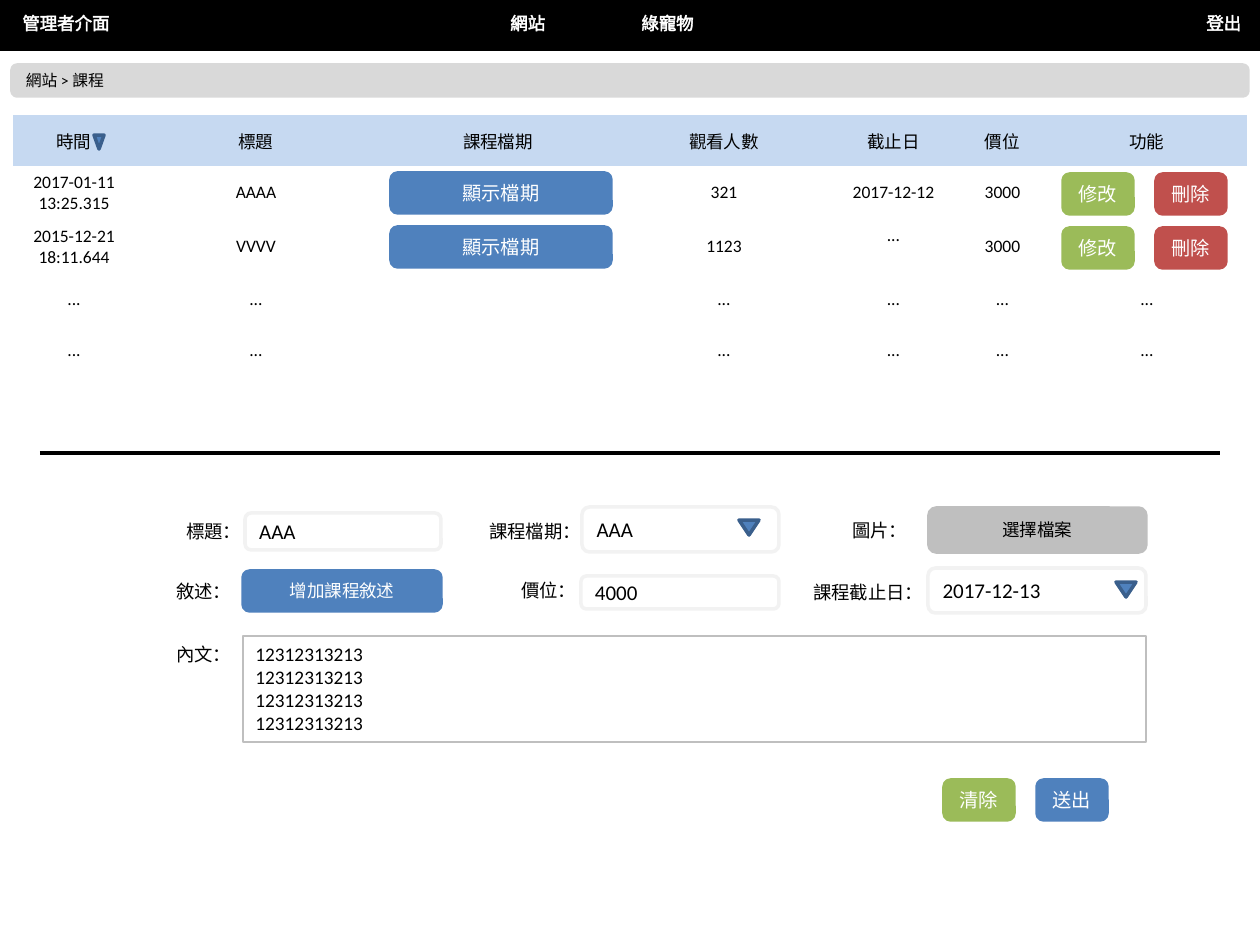
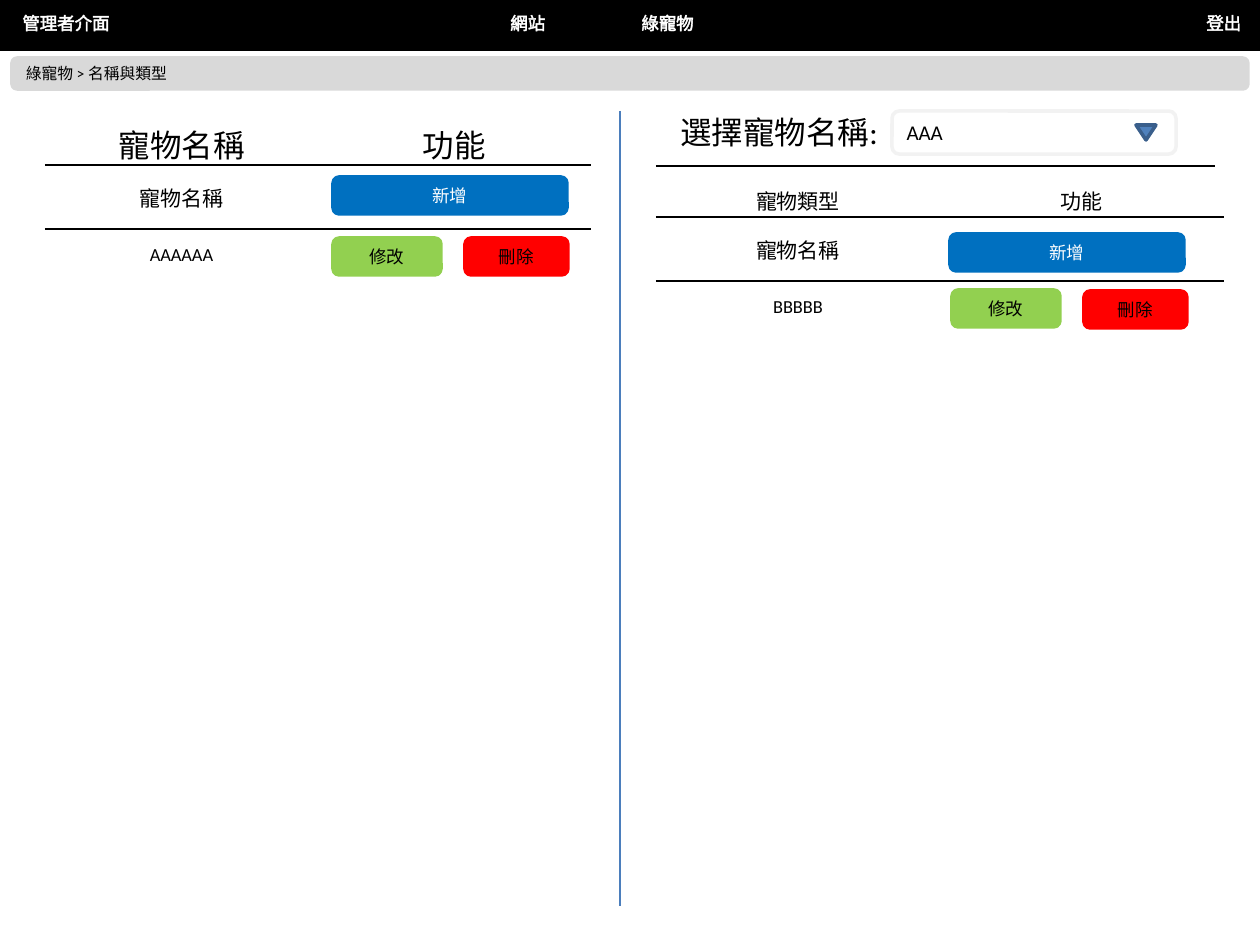
from lxml.etree import SubElement
from pptx import Presentation
from pptx.dml.color import RGBColor
from pptx.enum.shapes import MSO_CONNECTOR, MSO_SHAPE
from pptx.enum.text import MSO_ANCHOR, PP_ALIGN
from pptx.oxml import parse_xml
from pptx.oxml.ns import nsdecls, qn
from pptx.util import Pt

EMU_PER_PX = 914400 / 126
FONT = "Calibri"
PLAIN_TABLE_STYLE = "{2D5ABB26-0587-4C30-8999-92F81FD0307C}"
COLORS = {
    "black": "000000",
    "white": "FFFFFF",
    "breadcrumb": "D9D9D9",
    "table_header": "C6D9F1",
    "field_border": "F2F2F2",
    "gray": "BFBFBF",
    "blue": "4F81BD",
    "arrow_border": "3A5F8C",
    "divider": "4B7EBC",
    "green": "9BBB59",
    "red": "C0504D",
    "add": "0070C0",
    "modify": "92D050",
    "delete": "FF0000",
}


def px(length):
    return round(length * EMU_PER_PX)


def box(*lengths):
    return [px(length) for length in lengths]


def rgb(name):
    return RGBColor.from_string(COLORS[name])


def write(frame, text, size, color="black", align=PP_ALIGN.LEFT):
    for index, line in enumerate(text.split("\n")):
        paragraph = frame.add_paragraph() if index else frame.paragraphs[0]
        paragraph.add_run().text = line
        paragraph.alignment = align
        paragraph.font.name = FONT
        paragraph.font.size = Pt(size)
        paragraph.font.color.rgb = rgb(color)


def add_box(slide, kind, bounds, fill, border=None, border_width=2):
    shape = slide.shapes.add_shape(kind, *box(*bounds))
    shape.shadow.inherit = False
    shape.fill.solid()
    shape.fill.fore_color.rgb = rgb(fill)
    shape.line.color.rgb = rgb(border or fill)
    shape.line.width = Pt(border_width)
    return shape


def add_button(slide, bounds, text, fill, color="white", size=11):
    shape = add_box(slide, MSO_SHAPE.ROUNDED_RECTANGLE, bounds, fill)
    shape.text_frame.vertical_anchor = MSO_ANCHOR.MIDDLE
    write(shape.text_frame, text, size, color, PP_ALIGN.CENTER)


def add_field(slide, bounds, text, fill="white", border="field_border", size=12):
    shape = add_box(slide, MSO_SHAPE.ROUNDED_RECTANGLE, bounds, fill, border)
    shape.text_frame.vertical_anchor = MSO_ANCHOR.MIDDLE
    write(shape.text_frame, text, size)


def add_arrow(slide, left, top, width=20, height=15):
    bounds = (left, top, width, height)
    shape = add_box(slide, MSO_SHAPE.ISOSCELES_TRIANGLE, bounds, "blue", "arrow_border")
    shape.rotation = 180


def add_dropdown(slide, bounds, text, arrow_left, arrow_top):
    add_field(slide, bounds, text)
    add_arrow(slide, arrow_left, arrow_top)


def add_label(slide, bounds, text, size=10.5, color="black", align=PP_ALIGN.LEFT, wrap=True):
    label = slide.shapes.add_textbox(*box(*bounds))
    label.text_frame.word_wrap = wrap
    write(label.text_frame, text, size, color, align)
    return label


def add_line(slide, start, end, color, width):
    line = slide.shapes.add_connector(MSO_CONNECTOR.STRAIGHT, *box(*start, *end))
    line.line.color.rgb = rgb(color)
    line.line.width = Pt(width)
    SubElement(line.element.spPr, qn("a:effectLst"))


def outline_text(label, color):
    properties = label.text_frame.paragraphs[0].runs[0].font._element
    properties.insert(0, parse_xml(
        f'<a:ln {nsdecls("a")} w="9525"><a:solidFill>'
        f'<a:srgbClr val="{COLORS[color]}"/></a:solidFill></a:ln>'))


def underline_cell(cell):
    properties = cell._tc.get_or_add_tcPr()
    properties.insert(0, parse_xml(
        f'<a:lnB {nsdecls("a")} w="12700"><a:solidFill>'
        f'<a:srgbClr val="{COLORS["black"]}"/></a:solidFill></a:lnB>'))


def add_plain_table(slide, left, top, widths, heights, rows, sizes):
    frame = slide.shapes.add_table(
        len(heights), len(widths), *box(left, top, sum(widths), sum(heights)))
    table = frame.table
    table.first_row = table.horz_banding = False
    for style in frame.element.iter(qn("a:tableStyleId")):
        style.text = PLAIN_TABLE_STYLE
    for column, width in zip(table.columns, widths):
        column.width = px(width)
    for row, height in zip(table.rows, heights):
        row.height = px(height)
        for cell in row.cells:
            cell.fill.background()
            cell.vertical_anchor = MSO_ANCHOR.MIDDLE
            cell.margin_top = cell.margin_bottom = px(5)
    for row, texts, size in zip(table.rows, rows, sizes):
        for cell, text in zip(row.cells, texts):
            if text:
                write(cell.text_frame, text, size, align=PP_ALIGN.CENTER)
    return table


def add_page(presentation, breadcrumb, breadcrumb_top):
    slide = presentation.slides.add_slide(presentation.slide_layouts[6])
    add_box(slide, MSO_SHAPE.RECTANGLE, (0, 0, 1260, 49), "black")
    menu = [(10, 113, "管理者介面"), (1194, 60, "登出"), (498, 60, "網站"), (629, 78, "綠寵物")]
    for left, width, text in menu:
        label = add_label(slide, (left, 6, width, 34), text, 10, "white", wrap=False)
        outline_text(label, "white")
    add_field(slide, (12, breadcrumb_top, 1236, 31), breadcrumb,
              "breadcrumb", "breadcrumb", 9)
    return slide


def add_course_table(slide):
    more = ["...", "...", "", "...", "...", "...", "..."]
    rows = [
        ["時間", "標題", "課程檔期", "觀看人數", "截止日", "價位", "功能"],
        ["2017-01-11\n13:25.315", "AAAA", "", "321", "2017-12-12", "3000", ""],
        ["2015-12-21\n18:11.644", "VVVV", "", "1123", "...", "3000", ""],
        more,
        more,
    ]
    widths = [122, 242, 242, 210, 129, 89, 200]
    table = add_plain_table(slide, 13, 115, widths, [51, 54, 54, 51, 51], rows, [10] * 5)
    for cell in table.rows[0].cells:
        cell.fill.solid()
        cell.fill.fore_color.rgb = rgb("table_header")
    table.cell(2, 4).margin_bottom = px(27)
    add_arrow(slide, 94, 135, 10, 14)
    for top in (173, 227):
        add_button(slide, (391, top, 220, 40), "顯示檔期", "blue")
        add_button(slide, (1063, top + 1, 70, 40), "修改", "green")
        add_button(slide, (1156, top + 1, 70, 40), "刪除", "red")


def add_course_form(slide):
    labels = [
        (165, 514, 79, "標題：", PP_ALIGN.CENTER),
        (471, 514, 110, "課程檔期：", PP_ALIGN.CENTER),
        (840, 513, 79, "圖片：", PP_ALIGN.LEFT),
        (164, 574, 79, "敘述：", PP_ALIGN.LEFT),
        (500, 573, 79, "價位：", PP_ALIGN.CENTER),
        (799, 575, 120, "課程截止日：", PP_ALIGN.CENTER),
        (164, 637, 79, "內文：", PP_ALIGN.LEFT),
    ]
    for left, top, width, text, align in labels:
        add_label(slide, (left, top, width, 35), text, align=align)
    add_field(slide, (245, 513, 196, 37), "AAA")
    add_dropdown(slide, (582, 507, 197, 45), "AAA", 739, 520)
    add_button(slide, (929, 508, 217, 44), "選擇檔案", "gray", "black", 10)
    add_button(slide, (243, 571, 198, 40), "增加課程敘述", "blue", size=10)
    add_field(slide, (581, 576, 198, 33), "4000")
    add_dropdown(slide, (928, 568, 218, 45), "2017-12-13", 1116, 582)
    content = add_box(slide, MSO_SHAPE.RECTANGLE, (243, 636, 903, 106), "white", "gray", 0.75)
    content.text_frame.vertical_anchor = MSO_ANCHOR.TOP
    write(content.text_frame, "\n".join(["12312313213"] * 4), 11)
    add_button(slide, (944, 780, 70, 40), "清除", "green")
    add_button(slide, (1037, 780, 70, 40), "送出", "blue")


def add_pet_table(slide, left, top, column_width, header_height, heading, value, header_size):
    rows = [[heading, "功能"], ["寵物名稱", ""], [value, ""]]
    heights = [header_height, 64] + [53] * 4
    table = add_plain_table(slide, left, top, [column_width] * 2, heights, rows,
                            [header_size, 12, 10.5])
    for row in (0, 1):
        for column in (0, 1):
            underline_cell(table.cell(row, column))


def add_pet_buttons(slide, add_at, modify_at, delete_at):
    add_button(slide, (*add_at, 234, 37), "新增", "add", size=10)
    add_button(slide, (*modify_at, 108, 37), "修改", "modify", "black", 10)
    add_button(slide, (*delete_at, 103, 37), "刪除", "delete", "black", 10)


def add_course_page(presentation):
    slide = add_page(presentation, "網站 > 課程", 65)
    add_course_table(slide)
    add_line(slide, (40, 453), (1220, 453), "black", 2.25)
    add_course_form(slide)


def add_pet_page(presentation):
    slide = add_page(presentation, "綠寵物 > 名稱與類型", 58)
    add_line(slide, (620, 111), (620, 906), "divider", 0.75)
    add_pet_table(slide, 45, 116, 273, 49, "寵物名稱", "AAAAAA", 18)
    add_pet_buttons(slide, (333, 177), (333, 238), (465, 238))
    add_label(slide, (667, 107, 224, 51), "選擇寵物名稱:", 18,
              align=PP_ALIGN.CENTER, wrap=False)
    add_dropdown(slide, (892, 111, 284, 43), "AAA", 1136, 125)
    add_line(slide, (656, 166), (1215, 166), "black", 1.5)
    add_pet_table(slide, 656, 180, 284, 37, "寵物類型", "BBBBB", 12)
    add_pet_buttons(slide, (950, 234), (952, 290), (1084, 291))


def main():
    presentation = Presentation()
    presentation.slide_width, presentation.slide_height = box(1260, 945)
    add_course_page(presentation)
    add_pet_page(presentation)
    presentation.save("out.pptx")


if __name__ == "__main__":
    main()
